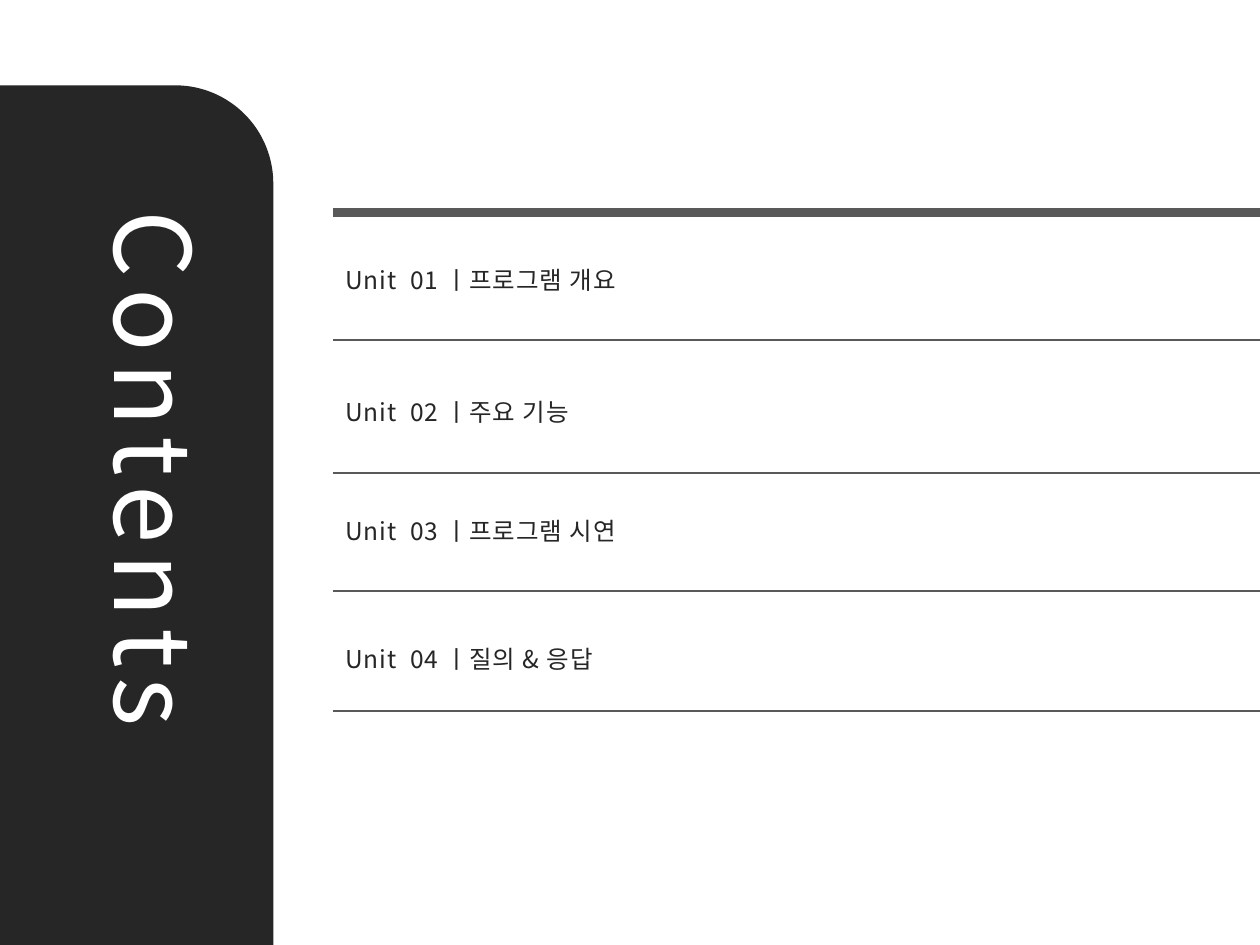
from dataclasses import dataclass
from typing import Any

from lxml import etree
from pptx import Presentation
from pptx import util as u
from pptx.dml.color import RGBColor
from pptx.enum import shapes, text
from pptx.oxml.ns import qn


def color(hex_text):
    return RGBColor.from_string(hex_text)


def write(frame, words, size, fill, spacing, font, anchor, wrap):
    """Put one formatted line of text in a frame; spacing is in points."""
    frame.word_wrap = wrap
    frame.vertical_anchor = anchor
    para = frame.paragraphs[0]
    para.alignment = text.PP_ALIGN.LEFT
    para.line_spacing = 1.0
    para.space_before = u.Pt(0)
    span = para.add_run()
    span.text = words
    span.font.name = font
    span.font.size = u.Pt(size)
    span.font.color.rgb = color(fill)
    properties = span.font._element
    properties.set("spc", str(int(spacing * 100)))
    east_asian = etree.SubElement(properties, qn("a:ea"))
    east_asian.set("typeface", font)


@dataclass
class ContentsPage:
    page: Any
    font: str = "Noto Sans CJK KR"
    dark: str = "262626"
    gray: str = "595959"
    white: str = "FFFFFF"

    def panel(self, left, top, width, height):
        box = self.page.shapes.add_shape(
            shapes.MSO_SHAPE.ROUNDED_RECTANGLE,
            u.Cm(left), u.Cm(top), u.Cm(width), u.Cm(height))
        box.adjustments[0] = 0.22
        box.rotation = 270
        box.shadow.inherit = False
        box.fill.solid()
        box.fill.fore_color.rgb = color(self.dark)
        box.line.fill.background()

    def title(self, words, left, top, width, height):
        box = self.page.shapes.title
        box.left, box.top = u.Cm(left), u.Cm(top)
        box.width, box.height = u.Cm(width), u.Cm(height)
        box.rotation = 90
        write(box.text_frame, words, size=60, fill=self.white, spacing=6,
              font=self.font, anchor=text.MSO_ANCHOR.TOP, wrap=False)
        box.text_frame.auto_size = text.MSO_AUTO_SIZE.SHAPE_TO_FIT_TEXT
        # Bring the title in front of the panel
        self.page.shapes._spTree.append(box._element)

    def rule(self, left, right, y, weight=1):
        line = self.page.shapes.add_connector(
            shapes.MSO_CONNECTOR.STRAIGHT,
            u.Cm(left), u.Cm(y), u.Cm(right), u.Cm(y))
        line.line.color.rgb = color(self.gray)
        line.line.width = u.Pt(weight)
        etree.SubElement(line._element.spPr, qn("a:effectLst"))

    def unit(self, words, left, top, width=9, height=1.27):
        box = self.page.shapes.add_textbox(
            u.Cm(left), u.Cm(top), u.Cm(width), u.Cm(height))
        write(box.text_frame, words, size=14, fill=self.dark, spacing=0.5,
              font=self.font, anchor=text.MSO_ANCHOR.MIDDLE, wrap=True)


def main():
    deck = Presentation()
    deck.slide_width, deck.slide_height = u.Cm(25.4), u.Cm(19.05)
    contents = ContentsPage(deck.slides.add_slide(deck.slide_layouts[5]))

    # Side panel with the vertical title
    contents.panel(-8.69, 6.93, 19.41, 8.99)
    contents.title("Contents", -2.46, 8.18, 11.2, 2.82)

    # Units, each with a rule below
    left, right = 6.71, 25.4
    units = [
        ("프로그램 개요", 5.0, 6.86),
        ("주요 기능", 7.67, 9.53),
        ("프로그램 시연", 10.06, 11.91),
        ("질의 & 응답", 12.65, 14.33),
    ]
    contents.rule(left, right, 4.29, weight=5)
    for number, (name, top, rule_y) in enumerate(units, start=1):
        contents.unit(f"Unit  {number:02d} ㅣ{name}", left, top)
        contents.rule(left, right, rule_y)

    deck.save("out.pptx")


if __name__ == "__main__":
    main()
